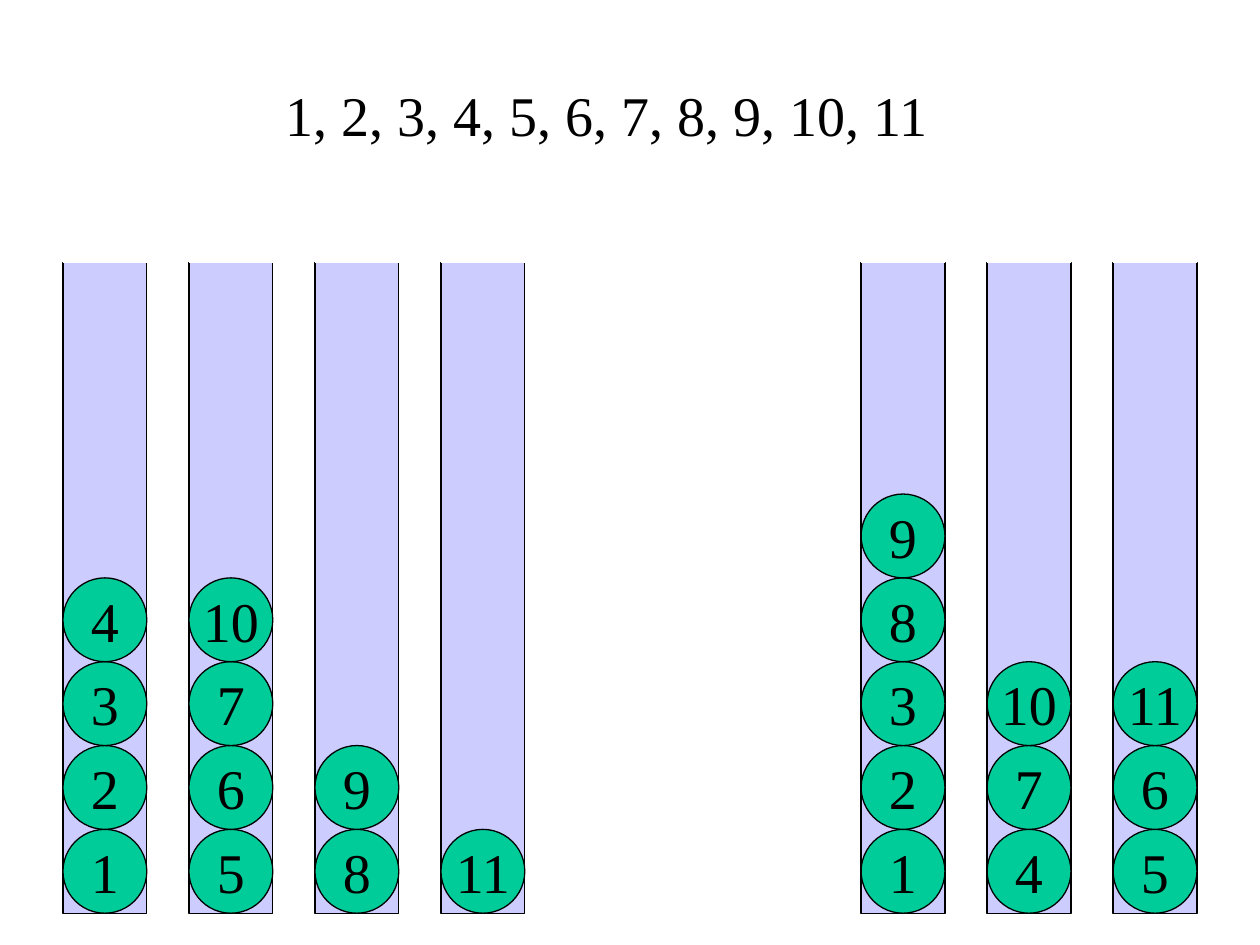
from dataclasses import dataclass

from lxml.etree import SubElement
from pptx import Presentation
from pptx.dml.color import RGBColor
from pptx.enum.shapes import MSO_CONNECTOR, MSO_SHAPE
from pptx.enum.text import MSO_ANCHOR, PP_ALIGN
from pptx.oxml.ns import qn
from pptx.util import Cm, Pt


@dataclass(frozen=True)
class Theme:
    font: str = "Times New Roman"
    size: Pt = Pt(32)
    outline: Pt = Pt(0.75)
    ink: RGBColor = RGBColor(0x00, 0x00, 0x00)
    paper: RGBColor = RGBColor(0xFF, 0xFF, 0xFF)
    peg: RGBColor = RGBColor(0xCC, 0xCC, 0xFF)
    ball: RGBColor = RGBColor(0x00, 0xCC, 0x99)


THEME = Theme()
BALL = Cm(1.69)
PEG_STEP = Cm(2.54)
PEG_TOP, PEG_HEIGHT = Cm(5.29), Cm(13.12)

FOUR_PEGS = [[1, 2, 3, 4], [5, 6, 7, 10], [8, 9], [11]]
THREE_PEGS = [[1, 2, 3, 8, 9], [4, 7, 10], [5, 6, 11]]


def write(sp, text, align):
    tf = sp.text_frame
    tf.vertical_anchor = MSO_ANCHOR.MIDDLE
    p = tf.paragraphs[0]
    p.alignment = align
    r = p.add_run()
    r.text = text
    r.font.name = THEME.font
    r.font.size = THEME.size
    r.font.color.rgb = THEME.ink
    return tf


def add_outlined(shapes, kind, box, fill):
    sp = shapes.add_shape(kind, *box)
    sp.shadow.inherit = False
    sp.fill.solid()
    sp.fill.fore_color.rgb = fill
    sp.line.color.rgb = THEME.ink
    sp.line.width = THEME.outline
    return sp


def add_peg(slide, left, top, width, height):
    """Draw a peg whose top edge is hidden by a line in the paper colour."""
    shapes = slide.shapes.add_group_shape().shapes
    add_outlined(shapes, MSO_SHAPE.RECTANGLE, (left, top, width, height), THEME.peg)
    rim = shapes.add_connector(MSO_CONNECTOR.STRAIGHT, left, top, left + width, top)
    rim.line.color.rgb = THEME.paper
    rim.line.width = THEME.outline
    SubElement(rim._element.spPr, qn("a:effectLst"))


def add_ball(slide, left, top, number):
    sp = add_outlined(slide.shapes, MSO_SHAPE.OVAL, (left, top, BALL, BALL), THEME.ball)
    write(sp, str(number), PP_ALIGN.CENTER).word_wrap = False


def add_pegs(slide, left, top, height, stacks):
    """Place the pegs side by side, each with its balls stacked from the bottom."""
    for i, stack in enumerate(stacks):
        x = left + i * PEG_STEP
        add_peg(slide, x, top, BALL, height)
        for level, number in enumerate(stack, start=1):
            add_ball(slide, x, top + height - level * BALL, number)


def add_sequence(slide, left, top, width, height):
    sp = slide.shapes.add_textbox(left, top, width, height)
    numbers = ", ".join(str(n) for n in range(1, 12))
    write(sp, numbers, PP_ALIGN.LEFT).word_wrap = True


def main():
    prs = Presentation()
    prs.slide_width, prs.slide_height = Cm(25.4), Cm(19.05)
    slide = prs.slides.add_slide(prs.slide_layouts[6])
    add_sequence(slide, Cm(5.5), Cm(1.48), Cm(14.17), Cm(1.63))
    add_pegs(slide, Cm(1.27), PEG_TOP, PEG_HEIGHT, FOUR_PEGS)
    add_pegs(slide, Cm(17.36), PEG_TOP, PEG_HEIGHT, THREE_PEGS)
    prs.save("out.pptx")


if __name__ == "__main__":
    main()
